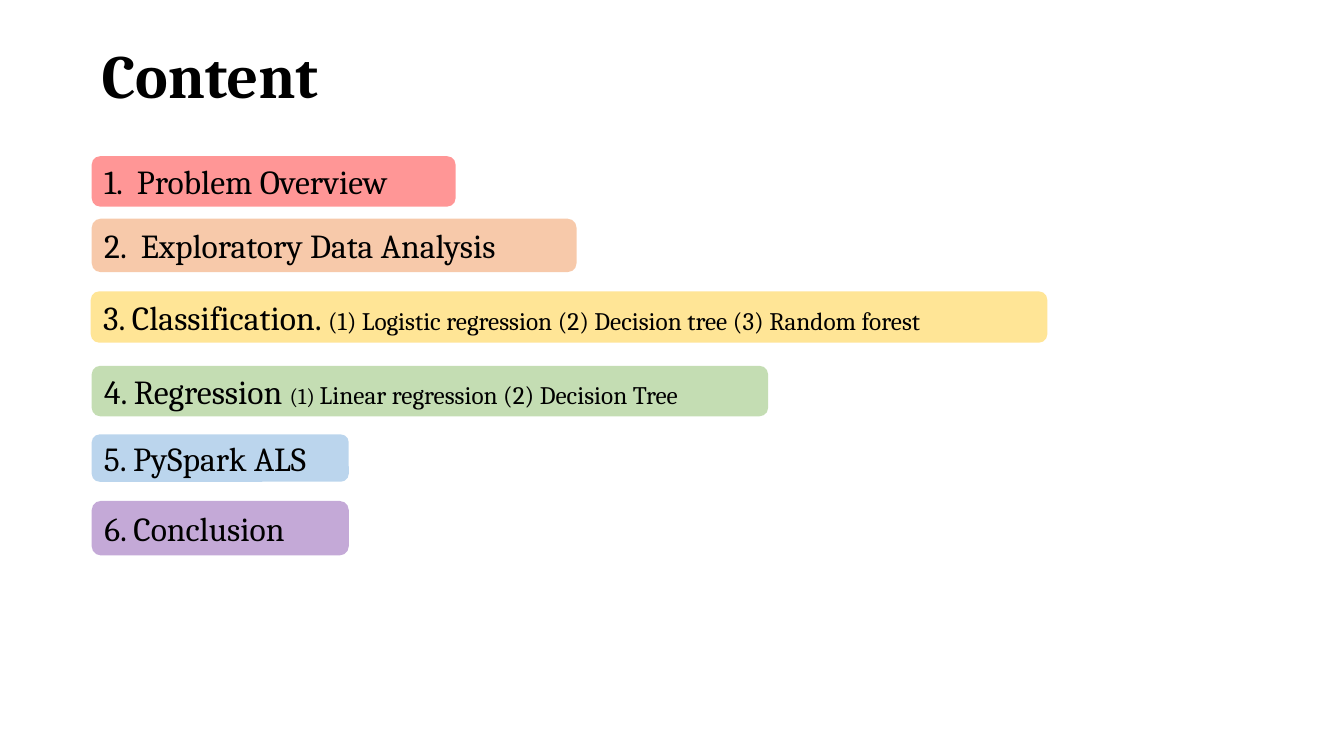
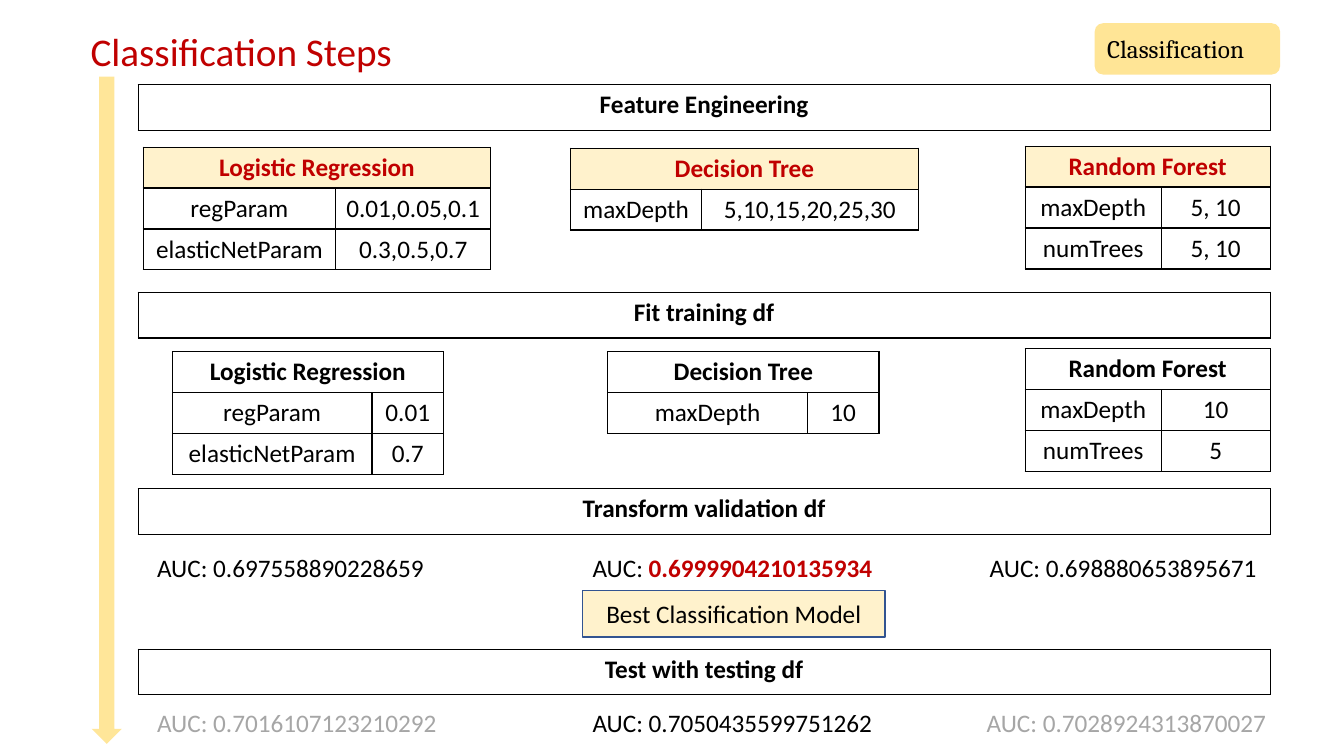
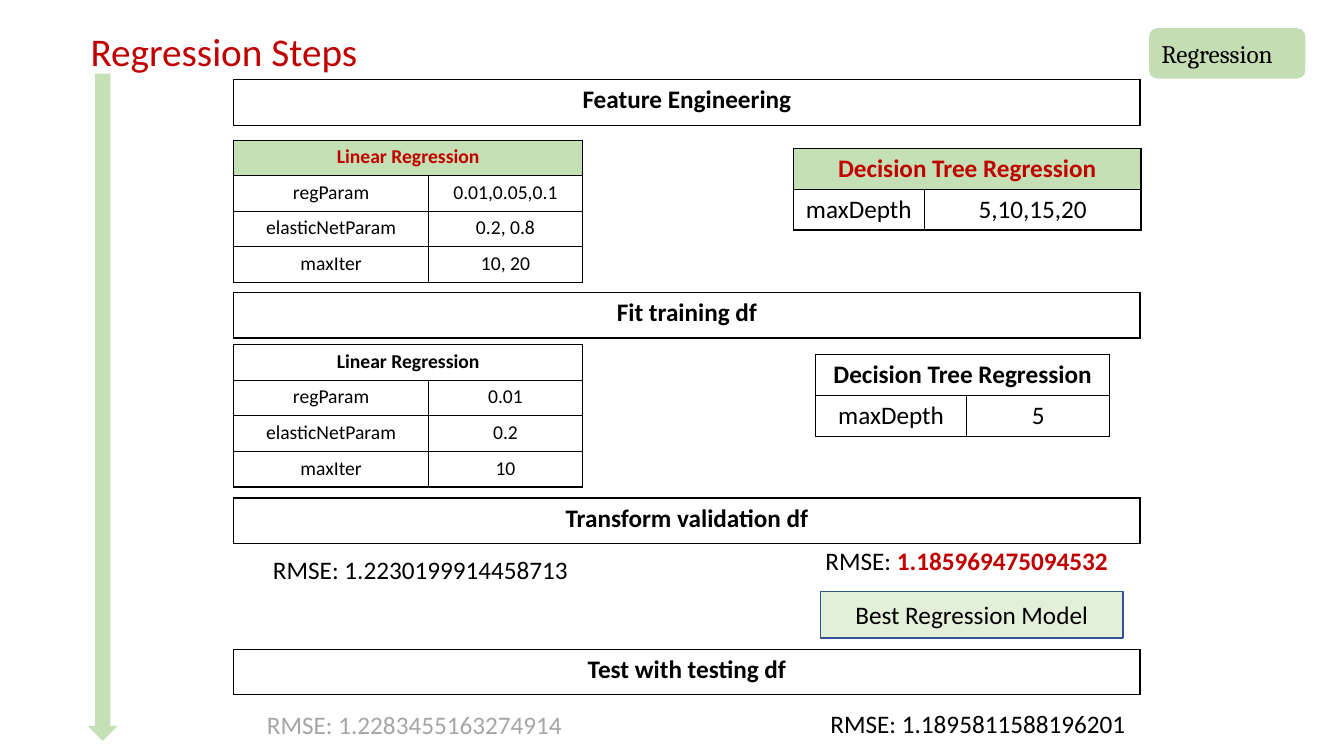
import pptx
import pptx.dml.color
import pptx.enum.shapes
import pptx.enum.text
import pptx.oxml
import pptx.oxml.ns
import pptx.util
from lxml import etree

RGB = pptx.dml.color.RGBColor
SHAPE = pptx.enum.shapes.MSO_SHAPE
ALIGN = pptx.enum.text.PP_ALIGN
ANCHOR = pptx.enum.text.MSO_ANCHOR

# Colours
BLACK = RGB(0x00, 0x00, 0x00)
GREY = RGB(0xA6, 0xA6, 0xA6)
CRIMSON = RGB(0xC0, 0x00, 0x00)
NAVY = RGB(0x32, 0x54, 0x91)
RED = RGB(0xFF, 0x00, 0x00)
ORANGE = RGB(0xED, 0x7D, 0x31)
GOLD = RGB(0xFF, 0xC0, 0x00)
GREEN = RGB(0x70, 0xAD, 0x47)
BLUE = RGB(0x5B, 0x9B, 0xD5)
PURPLE = RGB(0x70, 0x30, 0xA0)
SOFT_GOLD = RGB(0xFF, 0xE6, 0x99)
PALE_GOLD = RGB(0xFF, 0xF2, 0xCC)
SOFT_GREEN = RGB(0xC5, 0xE0, 0xB4)
PALE_GREEN = RGB(0xE2, 0xF0, 0xD9)

# Fonts and sizes
SANS, SERIF = "Calibri", "Cambria"
BODY = 18
TAG_ALPHA = 41

# Grid: square cells, ten to the inch; all places are in columns and rows
CELL = 0.1
COLUMNS, ROWS = 133.33, 75
STEPS = ["Feature Engineering", "Fit training df", "Transform validation df", "Test with testing df"]


def grid(*cells):
    return [pptx.util.Inches(n * CELL) for n in cells]


class Deck:
    """Holds the style and the current slide."""

    def __init__(self):
        self.prs = pptx.Presentation()
        self.prs.slide_width, self.prs.slide_height = grid(COLUMNS, ROWS)
        self.s = None

    def new_slide(self):
        self.s = self.prs.slides.add_slide(self.prs.slide_layouts[6])

    def add_runs(self, p, runs, font=SANS, size=BODY, color=BLACK, bold=False):
        """Each run is a string, or a string with the style it changes."""
        for item in [runs] if isinstance(runs, str) else runs:
            text, style = (item, {}) if isinstance(item, str) else item
            r = p.add_run()
            r.text = text
            r.font.name = font
            r.font.size = pptx.util.Pt(style.get("size", size))
            r.font.bold = style.get("bold", bold)
            r.font.color.rgb = style.get("color", color)

    def title(self, text, at, size=28, font=SANS, color=CRIMSON, bold=False):
        tf = self.s.shapes.add_textbox(*grid(*at)).text_frame
        tf.word_wrap = True
        tf.vertical_anchor = ANCHOR.MIDDLE
        tf.paragraphs[0].line_spacing = 0.9
        self.add_runs(tf.paragraphs[0], text, font, size, color, bold)

    def label(self, runs, at, color=BLACK):
        tf = self.s.shapes.add_textbox(*grid(*at)).text_frame
        tf.word_wrap = False
        tf.auto_size = pptx.enum.text.MSO_AUTO_SIZE.SHAPE_TO_FIT_TEXT
        self.add_runs(tf.paragraphs[0], runs, color=color)

    def shape(self, kind, at, fill, line=None):
        sp = self.s.shapes.add_shape(kind, *grid(*at))
        sp.shadow.inherit = False
        sp.fill.solid()
        sp.fill.fore_color.rgb = fill
        if line is None:
            sp.line.fill.background()
        else:
            sp.line.color.rgb = line
            sp.line.width = pptx.util.Pt(1)
        sp.text_frame.vertical_anchor = ANCHOR.MIDDLE
        return sp

    def tag(self, runs, at, fill, size=BODY):
        sp = self.shape(SHAPE.ROUNDED_RECTANGLE, at, fill)
        clr = sp.element.find(".//" + pptx.oxml.ns.qn("a:srgbClr"))
        etree.SubElement(clr, pptx.oxml.ns.qn("a:alpha"), val=str(TAG_ALPHA * 1000))
        p = sp.text_frame.paragraphs[0]
        p.alignment = ALIGN.LEFT
        self.add_runs(p, runs, SERIF, size)

    def arrow(self, left, top, fill):
        self.shape(SHAPE.DOWN_ARROW, (left, top, 3, 66.2), fill)

    def verdict(self, text, left, top, fill):
        sp = self.shape(SHAPE.RECTANGLE, (left, top, 30, 4.6), fill, NAVY)
        p = sp.text_frame.paragraphs[0]
        p.alignment = ALIGN.CENTER
        self.add_runs(p, text)

    def border(self, cell):
        tcPr = cell._tc.get_or_add_tcPr()
        for n, side in enumerate(("lnL", "lnR", "lnT", "lnB")):
            tcPr.insert(n, pptx.oxml.parse_xml(
                f'<a:{side} {pptx.oxml.ns.nsdecls("a")} w="12700"><a:solidFill>'
                f'<a:srgbClr val="{BLACK}"/></a:solidFill></a:{side}>'))

    def table(self, head, rows, left, top, widths, height=4.06, size=BODY, color=BLACK, fill=None):
        """A bold heading across all columns, then plain rows."""
        lines = [[head] + [""] * (len(widths) - 1)] + rows
        frame = self.s.shapes.add_table(
            len(lines), len(widths), *grid(left, top, sum(widths), height * len(lines)))
        tbl = frame.table
        tbl.first_row = tbl.horz_banding = False
        for column, width in zip(tbl.columns, grid(*widths)):
            column.width = width
        for y, line in enumerate(lines):
            tbl.rows[y].height = grid(height)[0]
            for x, text in enumerate(line):
                cell = tbl.cell(y, x)
                if fill is not None and y == 0:
                    cell.fill.solid()
                    cell.fill.fore_color.rgb = fill
                else:
                    cell.fill.background()
                self.border(cell)
                p = cell.text_frame.paragraphs[0]
                p.alignment = ALIGN.CENTER
                if text:
                    self.add_runs(p, text, size=size, color=BLACK if y else color, bold=y == 0)
        if len(widths) > 1:
            tbl.cell(0, 0).merge(tbl.cell(0, len(widths) - 1))

    def bands(self, left, width, tops):
        for text, top in zip(STEPS, tops):
            self.table(text, [], left, top, [width], height=4.53)

    def steps_slide(self, text, left, width, tops):
        self.new_slide()
        self.title(text, (8, 1.4, 52.5, 7.8))
        self.bands(left, width, tops)


def best(text):
    return text, {"color": CRIMSON, "bold": True}


def content(d):
    d.new_slide()
    d.title("Content", (9.1, 3.7, 25.5, 8.1), 44, SERIF, BLACK, True)
    for runs, at, fill in [
        ("1.  Problem Overview", (9.1, 15.5, 36.1, 5), RED),
        ("2.  Exploratory Data Analysis", (9.1, 21.7, 48.1, 5.3), ORANGE),
        (["3. Classification. ",
          ("(1) Logistic regression (2) Decision tree (3) Random forest", {"size": 18})],
         (9, 28.9, 94.9, 5.1), GOLD),
        (["4. Regression ", ("(1) ", {"size": 16}),
          ("Linear regression (2) Decision Tree", {"size": 18})],
         (9.1, 36.3, 67.1, 5), GREEN),
        ("5. PySpark ALS", (9.1, 43.1, 25.5, 4.7), BLUE),
        ("6. Conclusion", (9.1, 49.7, 25.5, 5.4), PURPLE),
    ]:
        d.tag(runs, at, fill, 24)


def classification(d):
    d.steps_slide("Classification Steps", 13.7, 112.3, (8.4, 29, 48.5, 64.4))
    d.tag("Classification", (108.6, 2.3, 18.4, 5.1), GOLD)
    d.arrow(9.1, 7.6, SOFT_GOLD)
    # Parameters tried
    tried = {"color": CRIMSON, "fill": PALE_GOLD}
    d.table("Logistic Regression", [["regParam", "0.01,0.05,0.1"], ["elasticNetParam", "0.3,0.5,0.7"]],
            14.2, 14.6, [19.1, 15.4], **tried)
    d.table("Decision Tree", [["maxDepth", "5,10,15,20,25,30"]], 56.6, 14.7, [13, 21.5], **tried)
    d.table("Random Forest", [["maxDepth", "5, 10"], ["numTrees", "5, 10"]],
            101.7, 14.5, [13.5, 10.8], **tried)
    # Parameters chosen
    d.table("Logistic Regression", [["regParam", "0.01"], ["elasticNetParam", "0.7"]],
            17.1, 34.9, [19.8, 7.1])
    d.table("Decision Tree", [["maxDepth", "10"]], 60.3, 34.9, [19.8, 7.1])
    d.table("Random Forest", [["maxDepth", "10"], ["numTrees", "5"]], 101.7, 34.6, [13.5, 10.8])
    # Scores
    d.label("AUC: 0.697558890228659", (14.6, 54.3, 28.8, 4))
    d.label(["AUC: ", best("0.6999904210135934")], (57.8, 54.3, 30, 4))
    d.label("AUC: 0.698880653895671", (97.2, 54.3, 28.8, 4))
    d.verdict("Best Classification Model", 57.8, 58.6, PALE_GOLD)
    d.label("AUC: 0.7016107123210292", (14.6, 69.7, 30, 4), GREY)
    d.label("AUC: 0.7050435599751262", (57.8, 69.7, 30, 4))
    d.label("AUC: 0.7028924313870027", (96.9, 69.7, 30, 4), GREY)


def regression(d):
    d.steps_slide("Regression Steps", 23.2, 89.9, (7.9, 29, 49.4, 64.4))
    d.tag("Regression", (114, 2.8, 15.5, 5), GREEN)
    d.arrow(8.7, 7.3, SOFT_GREEN)
    # Parameters tried
    tried = {"color": CRIMSON, "fill": SOFT_GREEN}
    small = {"height": 3.53, "size": 14}
    d.table("Linear Regression",
            [["regParam", "0.01,0.05,0.1"], ["elasticNetParam", "0.2, 0.8"], ["maxIter", "10, 20"]],
            23.2, 13.9, [19.3, 15.3], **small, **tried)
    d.table("Decision Tree Regression", [["maxDepth", "5,10,15,20"]], 78.7, 14.7, [13, 21.5], **tried)
    # Parameters chosen
    d.table("Linear Regression",
            [["regParam", "0.01"], ["elasticNetParam", "0.2"], ["maxIter", "10"]],
            23.2, 34.2, [19.3, 15.3], **small)
    d.table("Decision Tree Regression", [["maxDepth", "5"]], 80.9, 35.2, [15, 14.2])
    # Scores
    d.label("RMSE: 1.2230199914458713", (26.1, 54.5, 31.6, 4))
    d.label(["RMSE: ", best("1.185969475094532")], (80.9, 53.6, 30.3, 4))
    d.verdict("Best Regression Model", 81.4, 58.7, PALE_GREEN)
    d.label("RMSE: 1.2283455163274914", (25.5, 69.9, 31.6, 4), GREY)
    d.label("RMSE: 1.1895811588196201", (81.4, 69.8, 31.6, 4))


def main():
    d = Deck()
    content(d)
    classification(d)
    regression(d)
    d.prs.save("out.pptx")


if __name__ == "__main__":
    main()
